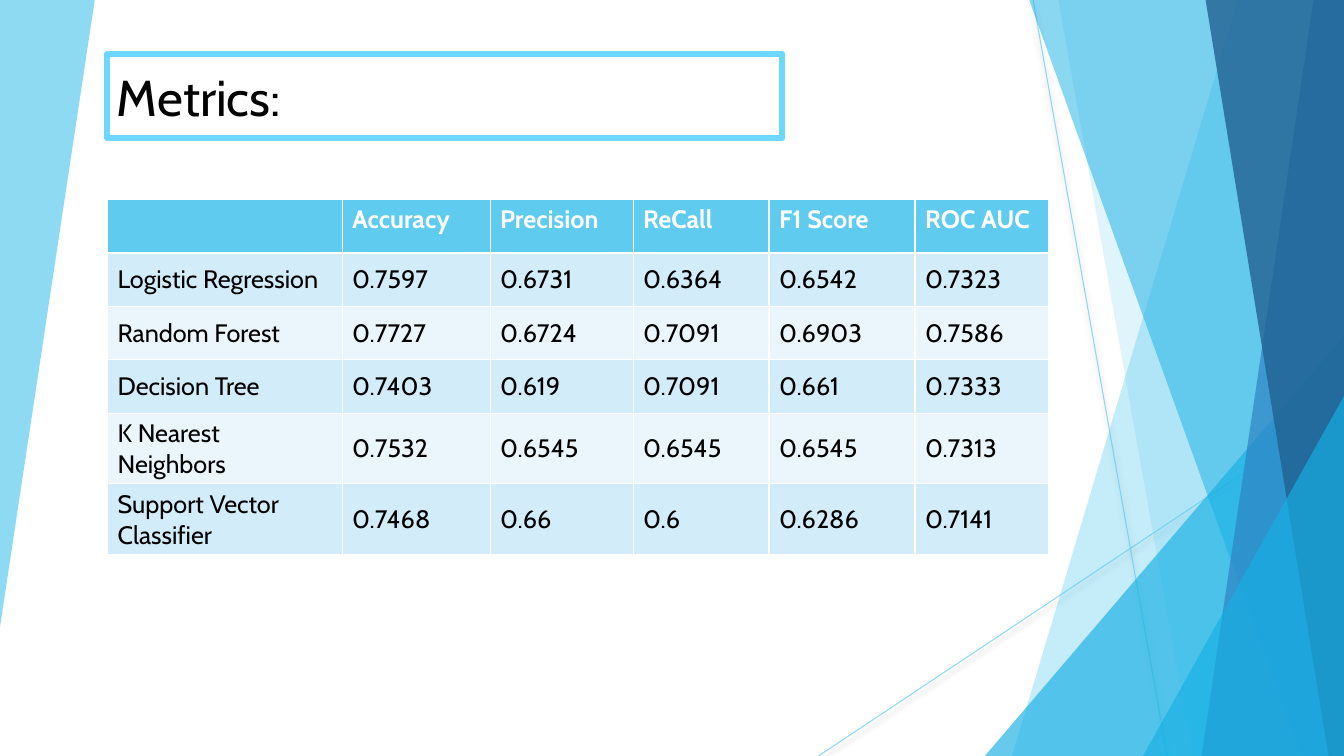
import lxml.etree
import pptx
import pptx.dml.color
import pptx.enum.shapes
import pptx.enum.text
import pptx.oxml.ns
import pptx.util

SLIDE_WIDTH = pptx.util.Inches(13.33)
SLIDE_HEIGHT = pptx.util.Inches(7.5)
FONT = "Cabin"
SKY, AZURE, BLUE, NAVY = "5FCBEF", "17B0E4", "2E83C3", "226292"
WHITE, BLACK = "FFFFFF", "000000"

FACETS = [
    ("band", 92.1, 75.3, SKY, 36),
    ("band", 78.75, 88.73, SKY, 20),
    ("corner", 73.28, 44.4, AZURE, 66),
    ("band", 76.58, 96.83, AZURE, 50),
    ("band", 97.73, 89.4, BLUE, 70),
    ("band", 89.7, 98.85, NAVY, 80),
    ("corner", 85.05, 52.4, AZURE, 66),
]
RAYS = [(76.87, 0, 86.85, 100), (100, 53.73, 60.9, 100)]

COLUMN_WEIGHTS = [2.33, 1.47, 1.42, 1.35, 1.45, 1.33]
METRICS = [
    ["", "Accuracy", "Precision", "ReCall", "F1 Score", "ROC AUC"],
    ["Logistic Regression", "0.7597", "0.6731", "0.6364", "0.6542", "0.7323"],
    ["Random Forest", "0.7727", "0.6724", "0.7091", "0.6903", "0.7586"],
    ["Decision Tree", "0.7403", "0.619", "0.7091", "0.661", "0.7333"],
    ["K Nearest Neighbors", "0.7532", "0.6545", "0.6545", "0.6545", "0.7313"],
    ["Support Vector Classifier", "0.7468", "0.66", "0.6", "0.6286", "0.7141"],
]


def across(percent):
    """Return a percentage of the slide width."""
    return round(SLIDE_WIDTH * percent / 100)


def down(percent):
    """Return a percentage of the slide height."""
    return round(SLIDE_HEIGHT * percent / 100)


def paint(color_format, hex_color):
    """Set a colour from a hex string."""
    color_format.rgb = pptx.dml.color.RGBColor.from_string(hex_color)


def fill_with(part, hex_color):
    """Give a shape or cell a solid fill."""
    part.fill.solid()
    paint(part.fill.fore_color, hex_color)


def add_element(parent, tag, **attributes):
    """Append a drawing element with the given attributes."""
    return lxml.etree.SubElement(parent, pptx.oxml.ns.qn(tag), **attributes)


def set_opacity(part, percent):
    """Make the colour of a shape or line translucent."""
    color = part._element.spPr.find(".//" + pptx.oxml.ns.qn("a:srgbClr"))
    add_element(color, "a:alpha", val=str(percent * 1000))


def finish_facet(facet, hex_color, opacity):
    """Style one translucent facet."""
    facet.shadow.inherit = False
    fill_with(facet, hex_color)
    facet.line.fill.background()
    set_opacity(facet, opacity)


def add_polygon(slide, corners):
    """Draw a closed outline through corners given in percent."""
    points = [(across(x), down(y)) for x, y in corners]
    outline = slide.shapes.build_freeform(*points[0])
    outline.add_line_segments(points[1:], close=True)
    return outline.convert_to_shape()


def add_ray(slide, x1, y1, x2, y2):
    """Draw a thin line with a soft shadow."""
    ray = slide.shapes.add_connector(
        pptx.enum.shapes.MSO_CONNECTOR.STRAIGHT,
        across(x1), down(y1), across(x2), down(y2))
    ray.line.width = pptx.util.Pt(0.75)
    paint(ray.line.color, SKY)
    set_opacity(ray, 70)
    effects = add_element(ray._element.spPr, "a:effectLst")
    shadow = add_element(effects, "a:outerShdw", blurRad=str(pptx.util.Pt(4)),
                         dist=str(pptx.util.Pt(3)), dir="5400000", rotWithShape="0")
    add_element(add_element(shadow, "a:srgbClr", val=BLACK), "a:alpha", val="35000")


def add_backdrop(slide):
    """Draw the facets and rays along both sides of the slide."""
    left_facet = add_polygon(slide, [(0, 0), (7.05, 0), (0, 82.93)])
    finish_facet(left_facet, SKY, 70)
    for ray in RAYS:
        add_ray(slide, *ray)
    for kind, first, second, hex_color, opacity in FACETS:
        if kind == "band":
            facet = add_polygon(slide, [(first, 0), (100, 0), (100, 100), (second, 100)])
        else:
            facet = slide.shapes.add_shape(
                pptx.enum.shapes.MSO_SHAPE.ISOSCELES_TRIANGLE,
                across(first), down(second), across(100 - first), down(100 - second))
            facet.adjustments[0] = 1
        finish_facet(facet, hex_color, opacity)


def format_paragraph(paragraph, size, hex_color, bold=False):
    """Set the font of a whole paragraph."""
    paragraph.font.name = FONT
    paragraph.font.size = pptx.util.Pt(size)
    paragraph.font.bold = bold
    paint(paragraph.font.color, hex_color)


def add_heading(slide, left, top, width, height):
    """Place the framed title in the given box."""
    heading = slide.shapes.title
    heading.left, heading.top, heading.width, heading.height = left, top, width, height
    fill_with(heading, WHITE)
    paint(heading.line.color, "6ED7FF")
    heading.line.width = pptx.util.Pt(4.33)
    heading.text_frame.text = "Metrics:"
    heading.text_frame.auto_size = pptx.enum.text.MSO_AUTO_SIZE.SHAPE_TO_FIT_TEXT
    paragraph = heading.text_frame.paragraphs[0]
    paragraph.alignment = pptx.enum.text.PP_ALIGN.LEFT
    format_paragraph(paragraph, 36, BLACK)


def add_metrics(slide, left, top, width, height):
    """Place the table of model scores in the given box."""
    scores = slide.shapes.add_table(
        len(METRICS), len(COLUMN_WEIGHTS), left, top, width, height).table
    for column, weight in zip(scores.columns, COLUMN_WEIGHTS):
        column.width = round(width * weight / sum(COLUMN_WEIGHTS))
    for row_number, row in enumerate(METRICS):
        is_header = row_number == 0
        band = SKY if is_header else ("EAF6FC", "D2ECF9")[row_number % 2]
        for column_number, wording in enumerate(row):
            cell = scores.cell(row_number, column_number)
            cell.text = wording
            fill_with(cell, band)
            if not is_header:
                cell.vertical_anchor = pptx.enum.text.MSO_ANCHOR.MIDDLE
            format_paragraph(cell.text_frame.paragraphs[0], 18,
                             WHITE if is_header else BLACK, is_header)


def main():
    """Build and save the metrics slide."""
    deck = pptx.Presentation()
    deck.slide_width, deck.slide_height = SLIDE_WIDTH, SLIDE_HEIGHT
    slide = deck.slides.add_slide(deck.slide_layouts.get_by_name("Title Only"))
    add_backdrop(slide)
    add_heading(slide, across(7.95), down(8), across(50.25), down(9.47))
    add_metrics(slide, across(8), down(26.4), across(70.05), down(42.4))
    deck.save("out.pptx")


if __name__ == "__main__":
    main()
